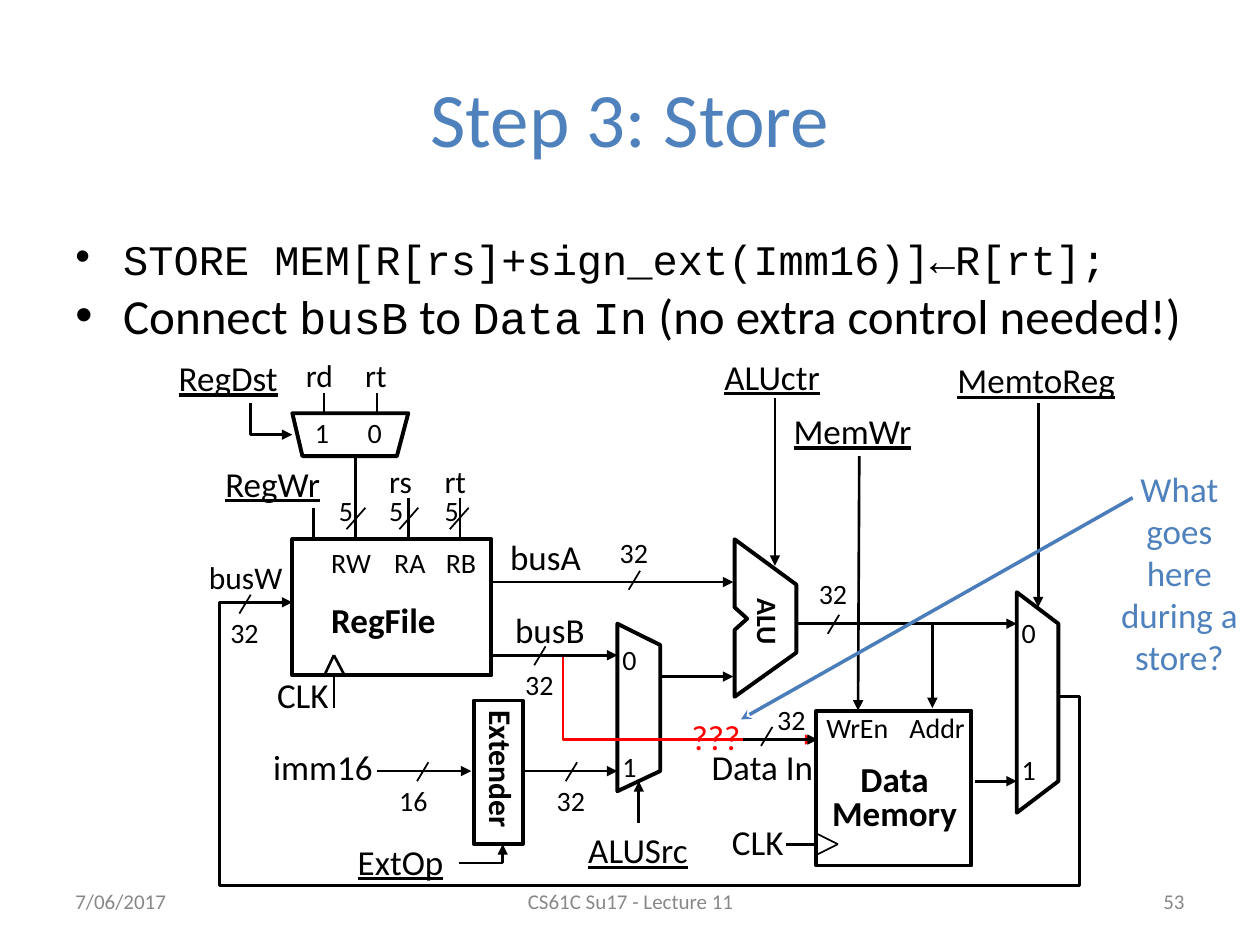
from lxml.etree import SubElement
from pptx import Presentation
from pptx.dml.color import RGBColor
from pptx.enum.shapes import MSO_CONNECTOR, MSO_SHAPE
from pptx.enum.text import MSO_ANCHOR, PP_ALIGN
from pptx.oxml.ns import qn
from pptx.util import Cm, Pt

BLACK = RGBColor(0, 0, 0)
RED = RGBColor(0xFF, 0, 0)
BLUE = RGBColor(0x4F, 0x81, 0xBD)
ARROW_BLUE = RGBColor(0x4A, 0x7D, 0xBA)
GREY = RGBColor(0x88, 0x88, 0x88)
SANS, MONO = "Calibri", "Courier New"
LABEL_HEIGHT = {16: 0.37, 18: 0.4, 20: 0.43}

# Labels by text size: text, left, top, width
LABELS = {
    16: [("RW", 2.53, 4.28, 0.52), ("RA", 3.03, 4.28, 0.45), ("RB", 3.44, 4.28, 0.45),
         ("0", 2.82, 3.25, 0.31), ("1", 2.4, 3.25, 0.31),
         ("0", 4.84, 5.05, 0.31), ("1", 4.84, 5.9, 0.31),
         ("0", 8.01, 4.84, 0.31), ("1", 8.01, 5.92, 0.31),
         ("WrEn", 6.46, 5.59, 0.7), ("Addr", 7.12, 5.59, 0.64)],
    18: [("busW", 1.56, 4.38, 0.79), ("rs", 2.99, 3.62, 0.38), ("rt", 2.8, 2.78, 0.37),
         ("rt", 3.43, 3.62, 0.37), ("rd", 2.33, 2.78, 0.42)],
    20: [("busA", 3.95, 4.2, 0.78), ("busB", 3.99, 4.78, 0.77), ("CLK", 2.1, 5.3, 0.61),
         ("CLK", 5.71, 6.46, 0.61), ("imm16", 2.07, 5.87, 1), ("Data In", 5.55, 5.87, 1.02)],
}
CONTROLS = [("ALUctr", 5.65, 2.77, 1), ("RegWr", 1.69, 3.62, 0.96),
            ("RegDst", 1.32, 2.78, 1.03), ("ALUSrc", 4.57, 6.53, 0.99),
            ("ExtOp", 2.74, 6.62, 0.89), ("MemtoReg", 7.5, 2.8, 1.45),
            ("MemWr", 6.2, 3.2, 1.14)]

# Bus widths: text, label left and top, lower left end of the slash
BUS_WIDTHS = [("32", 1.73, 4.84, 1.9, 4.87), ("32", 4.82, 4.2, 4.99, 4.68),
              ("32", 4.07, 5.25, 4.24, 5.28), ("32", 4.32, 6.17, 4.49, 6.2),
              ("16", 3.07, 6.17, 3.31, 6.2), ("32", 6.07, 5.53, 6.04, 5.92),
              ("32", 6.4, 4.53, 6.57, 5.03)]
# Register ports: label left, slash left
PORTS = [(2.59, 2.75), (2.99, 3.17), (3.43, 3.57)]

BLOCKS = [(3.76, 5.56, 0.39, 1.14, 2), (2.32, 4.28, 1.58, 1.08, 2.25),
          (6.48, 5.64, 1.23, 1.23, 2.25)]
OUTLINES = [
    [(2.32, 3.28), (2.4, 3.62), (3.15, 3.62), (3.24, 3.28)],  # RegDst mux
    [(4.9, 4.95), (4.9, 6.28), (5.24, 6.12), (5.24, 5.12)],  # ALUSrc mux
    [(5.83, 4.28), (5.83, 4.82), (5.93, 4.91), (5.83, 5), (5.83, 5.53),
     (6.32, 5.18), (6.32, 4.64)],  # ALU
    [(8.07, 4.7), (8.07, 6.45), (8.4, 6.2), (8.4, 4.95)],  # MemtoReg mux
]
ARROWS = [(8.24, 3.2, 8.24, 4.82), (6.82, 3.62, 6.81, 5.64), (6.15, 3.16, 6.15, 4.49),
          (3.9, 4.62, 5.82, 4.62), (3.9, 5.2, 4.9, 5.2), (5.24, 5.37, 5.82, 5.37),
          (4.15, 6.12, 4.9, 6.12), (2.99, 6.12, 3.74, 6.12), (5.07, 6.53, 5.07, 6.2),
          (6.32, 4.95, 8.07, 4.95), (7.4, 4.95, 7.4, 5.62), (7.74, 6.2, 8.07, 6.2),
          (3.99, 6.85, 3.99, 6.7)]
WIRES = [(2.49, 4.03, 2.49, 4.28), (2.82, 3.62, 2.82, 4.28), (3.24, 3.95, 3.24, 4.28),
         (3.65, 3.95, 3.65, 4.28), (2.65, 5.2, 2.57, 5.37), (2.65, 5.2, 2.74, 5.37),
         (2.65, 5.37, 2.65, 5.62), (6.49, 6.7, 6.24, 6.7), (3.99, 6.85, 3.64, 6.85)]
THIN_WIRES = [(2.57, 3.12, 2.57, 3.28), (2.99, 3.12, 2.99, 3.28),
              (6.49, 6.62, 6.65, 6.7), (6.65, 6.7, 6.49, 6.78)]


def inch(value):
    """The diagram is laid out on an inch grid."""
    return Cm(value * 2.54)


def style_line(shape, color, width, arrow=None):
    shape.line.color.rgb = color
    shape.line.width = Pt(width)
    if arrow:
        SubElement(shape.element.spPr.find(qn("a:ln")), qn("a:tailEnd"), type=arrow)


def add_text(page, text, left, top, width, height, size, color=BLACK, bold=False,
             underline=False, align=PP_ALIGN.LEFT, anchor=MSO_ANCHOR.TOP, wrap=False,
             rotation=0, spacing=None):
    box = page.shapes.add_textbox(inch(left), inch(top), inch(width), inch(height))
    box.rotation = rotation
    frame = box.text_frame
    frame.word_wrap = wrap
    frame.vertical_anchor = anchor
    frame.text = text
    for para in frame.paragraphs:
        para.alignment = align
        para.line_spacing = spacing
        font = para.font
        font.name, font.size, font.color.rgb = SANS, Pt(size), color
        font.bold, font.underline = bold, underline


def add_label(page, text, left, top, width, size, **style):
    add_text(page, text, left, top, width, LABEL_HEIGHT[size], size, **style)


def add_line(page, x1, y1, x2, y2, width=1.5, color=BLACK, arrow=None):
    line = page.shapes.add_connector(MSO_CONNECTOR.STRAIGHT, inch(x1), inch(y1),
                                     inch(x2), inch(y2))
    style_line(line, color, width, arrow)
    SubElement(line.element.spPr, qn("a:effectLst"))


def add_block(page, left, top, width, height, weight):
    block = page.shapes.add_shape(MSO_SHAPE.RECTANGLE, inch(left), inch(top),
                                  inch(width), inch(height))
    block.shadow.inherit = False
    block.fill.background()
    style_line(block, BLACK, weight)


def add_outline(page, points, width=2.25, color=BLACK, close=True, arrow=None):
    corners = [(inch(x), inch(y)) for x, y in points]
    builder = page.shapes.build_freeform(*corners[0])
    builder.add_line_segments(corners[1:], close=close)
    outline = builder.convert_to_shape()
    outline.shadow.inherit = False
    outline.fill.background()
    style_line(outline, color, width, arrow)


def add_bullets(page, bullets):
    box = page.shapes.add_textbox(inch(0.5), inch(1.75), inch(9), inch(5.4))
    frame = box.text_frame
    frame.word_wrap = True
    for number, runs in enumerate(bullets):
        para = frame.add_paragraph() if number else frame.paragraphs[0]
        layout = para._p.get_or_add_pPr()
        layout.set("marL", str(inch(0.38)))
        layout.set("indent", str(-inch(0.38)))
        SubElement(layout, qn("a:buFont"), typeface="Arial")
        SubElement(layout, qn("a:buChar"), char="•")
        para.font.color.rgb = BLACK
        for text, name, size in runs:
            span = para.add_run()
            span.text = text
            span.font.name, span.font.size = name, Pt(size)
            span.font.color.rgb = BLACK


def main():
    deck = Presentation()
    deck.slide_width, deck.slide_height = inch(10), inch(7.5)
    page = deck.slides.add_slide(deck.slide_layouts[6])

    # Title and bullets
    add_text(page, "Step 3: Store", 0.5, 0.3, 9, 1.25, 44, BLUE,
             align=PP_ALIGN.CENTER, anchor=MSO_ANCHOR.MIDDLE, wrap=True)
    add_bullets(page, [
        [("STORE MEM[R[rs]+sign_ext(Imm16)]←R[rt];", MONO, 24), (" ", SANS, 28)],
        [("Connect ", SANS, 28), ("busB", MONO, 26), (" to ", SANS, 28),
         ("Data", MONO, 26), (" ", SANS, 28), ("In", MONO, 26),
         (" (no extra control needed!)", SANS, 28)],
    ])

    # Signal and block labels
    for size, labels in LABELS.items():
        for label in labels:
            add_label(page, *label, size)
    for control in CONTROLS:
        add_label(page, *control, 20, underline=True)
    add_label(page, "RegFile", 2.53, 4.7, 1.04, 20, bold=True)
    add_label(page, "Extender", 3.39, 5.93, 1.18, 18, bold=True, rotation=90)
    add_label(page, "ALU", 5.8, 4.76, 0.59, 16, bold=True, rotation=90)
    add_text(page, "Data\nMemory", 6.5, 6.03, 1.2, 0.65, 20, bold=True,
             align=PP_ALIGN.CENTER, wrap=True, spacing=0.8)

    # Bus widths with their slashes
    for text, left, top, x, y in BUS_WIDTHS:
        add_label(page, text, left, top, 0.43, 16)
        add_line(page, x, y, x + 0.09, y - 0.15, width=1)
    for left, x in PORTS:
        add_label(page, "5", left, 3.87, 0.31, 16)
        add_line(page, x, 4.2, x + 0.15, 4.03, width=1)

    # Blocks, multiplexers and wires
    for block in BLOCKS:
        add_block(page, *block)
    for points in OUTLINES:
        add_outline(page, points)
    for wire in THIN_WIRES:
        add_line(page, *wire, width=1)
    for wire in WIRES:
        add_line(page, *wire)
    for color, points in [
        (BLACK, [(1.99, 3.2), (1.99, 3.45), (2.32, 3.45)]),
        (BLACK, [(8.4, 5.53), (8.57, 5.53), (8.57, 7.03), (1.74, 7.03),
                 (1.74, 4.78), (2.32, 4.78)]),
        (RED, [(4.47, 5.2), (4.47, 5.87), (6.47, 5.87)]),
    ]:
        add_outline(page, points, 1.5, color, close=False, arrow="triangle")
    for arrow in ARROWS + [(5.9, 5.87, 6.49, 5.87)]:
        add_line(page, *arrow, arrow="triangle")

    # Footer
    for text, left, width, align in [("7/06/2017", 0.5, 2.33, PP_ALIGN.LEFT),
                                     ("CS61C Su17 - Lecture 11", 3.42, 3.17, PP_ALIGN.CENTER),
                                     ("53", 7.17, 2.33, PP_ALIGN.RIGHT)]:
        add_text(page, text, left, 6.95, width, 0.4, 12, GREY, align=align,
                 anchor=MSO_ANCHOR.MIDDLE, wrap=True)

    # Question about the missing control
    add_label(page, "???", 5.39, 5.63, 0.59, 20, color=RED)
    add_text(page, "What goes here during a store?", 8.72, 3.66, 1.28, 1.78, 20, BLUE,
             align=PP_ALIGN.CENTER, wrap=True)
    add_line(page, 8.99, 3.95, 5.88, 5.71, 2, ARROW_BLUE, "stealth")

    deck.save("out.pptx")


if __name__ == "__main__":
    main()
